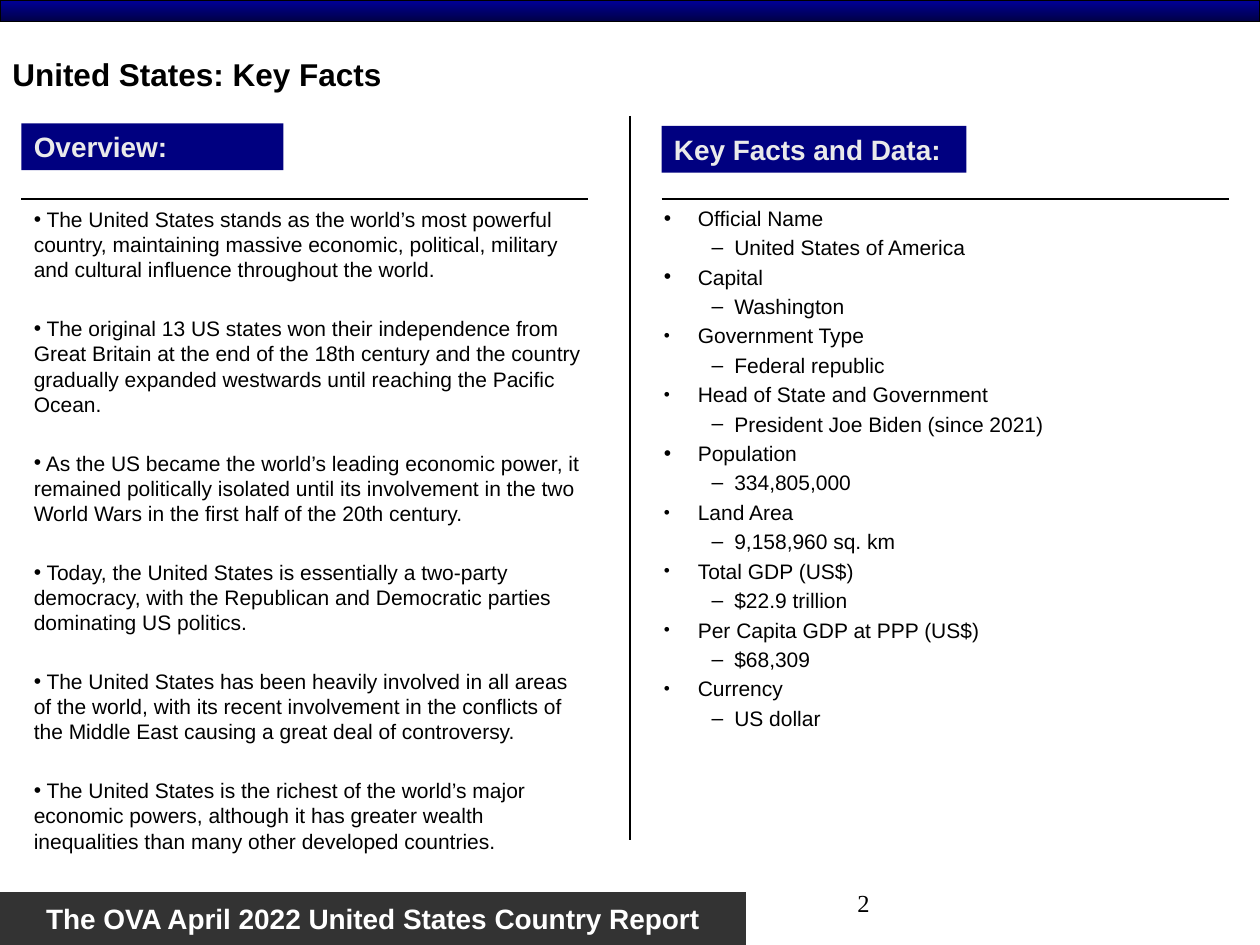
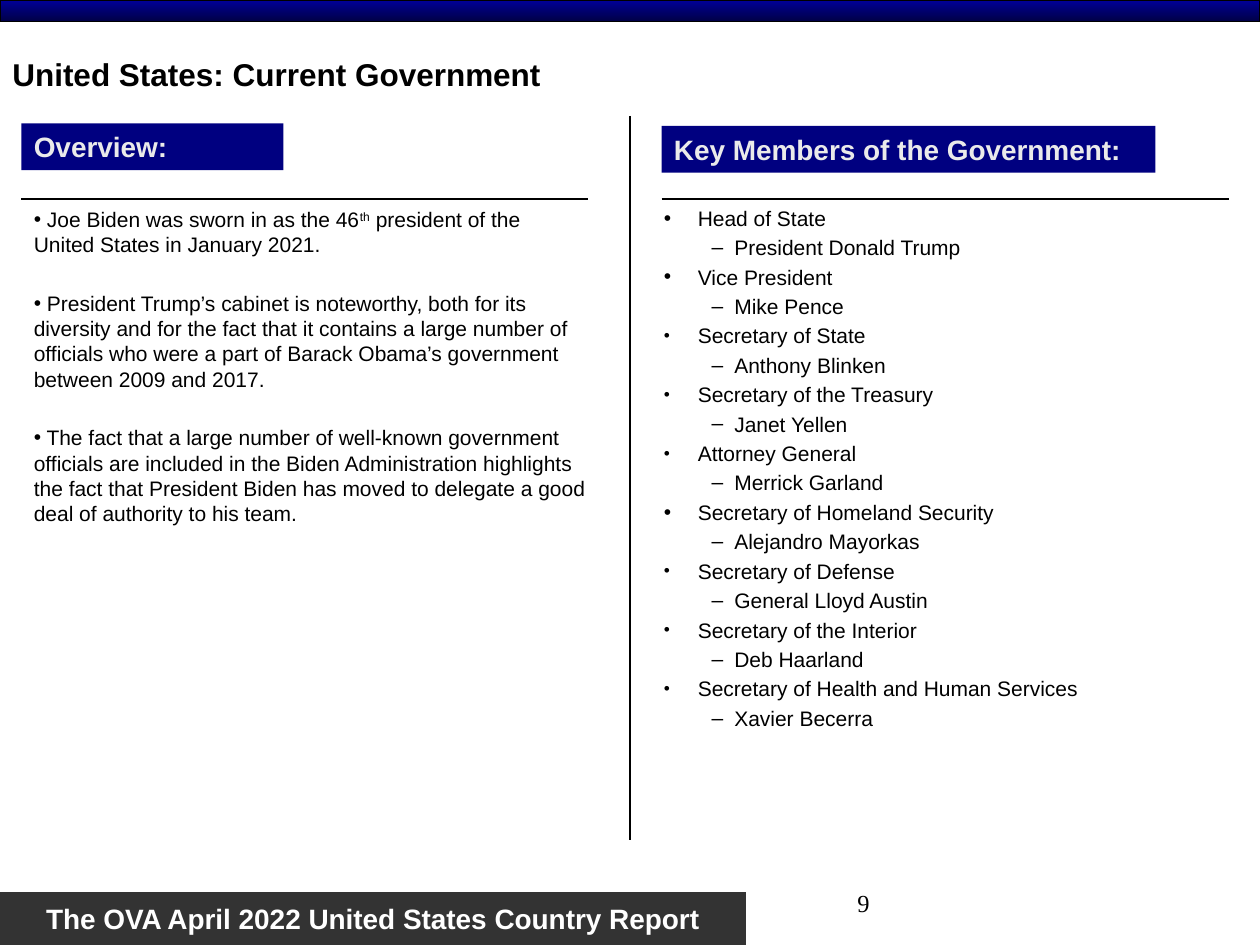
from dataclasses import dataclass

from lxml import etree
from pptx import Presentation
from pptx import util as u
from pptx.dml.color import RGBColor
from pptx.enum import shapes, text
from pptx.oxml import ns


@dataclass(frozen=True)
class Theme:
    black: str = "000000"
    white: str = "FFFFFF"
    band_top: str = "000099"
    band_bottom: str = "000047"
    footer: str = "333333"
    label: str = "000080"
    label_text: str = "EAEAEA"
    sans: str = "Arial"
    serif: str = "Times New Roman"
    title_size: float = 18
    label_size: float = 16
    page_size: float = 14
    body_size: float = 12
    line_pitch: float = 14.4
    gap: float = 2.4
    overview_gap: float = 19.2
    rule: float = 0.75


theme = Theme()
LEFT, MIDDLE = text.PP_ALIGN.LEFT, text.MSO_ANCHOR.MIDDLE

FOOTER = "The OVA April 2022 United States Country Report"

# A bar in an overview point encloses a superscript.
pages = [
    {
        "number": "2",
        "title": "United States: Key Facts",
        "overview_height": 5.41,
        "overview": [
            "The United States stands as the world’s most powerful country, maintaining massive economic, political, military and cultural influence throughout the world.",
            "The original 13 US states won their independence from Great Britain at the end of the 18th century and the country gradually expanded westwards until reaching the Pacific Ocean.",
            "As the US became the world’s leading economic power, it remained politically isolated until its involvement in the two World Wars in the first half of the 20th century.",
            "Today, the United States is essentially a two-party democracy, with the Republican and Democratic parties dominating US politics.",
            "The United States has been heavily involved in all areas of the world, with its recent involvement in the conflicts of the Middle East causing a great deal of controversy.",
            "The United States is the richest of the world’s major economic powers, although it has greater wealth inequalities than many other developed countries.",
        ],
        "label": "Key Facts and Data:",
        "label_width": 2.42,
        "large_bullets": {"Official Name", "Capital", "Population"},
        "facts": [
            ("Official Name", "United States of America"),
            ("Capital", "Washington"),
            ("Government Type", "Federal republic"),
            ("Head of State and Government", "President Joe Biden (since 2021)"),
            ("Population", "334,805,000"),
            ("Land Area", "9,158,960 sq. km"),
            ("Total GDP (US$)", "$22.9 trillion"),
            ("Per Capita GDP at PPP (US$)", "$68,309"),
            ("Currency", "US dollar"),
        ],
    },
    {
        "number": "9",
        "title": "United States: Current Government",
        "overview_height": 5.08,
        "overview": [
            "Joe Biden was sworn in as the 46|th| president of the United States in January 2021.",
            "President Trump’s cabinet is noteworthy, both for its diversity and for the fact that it contains a large number of officials who were a part of Barack Obama’s government between 2009 and 2017.",
            "The fact that a large number of well-known government officials are included in the Biden Administration highlights the fact that President Biden has moved to delegate a good deal of authority to his team.",
        ],
        "label": "Key Members of the Government:",
        "label_width": 3.92,
        "large_bullets": {"Head of State", "Vice President", "Secretary of Homeland Security"},
        "facts": [
            ("Head of State", "President Donald Trump"),
            ("Vice President", "Mike Pence"),
            ("Secretary of State", "Anthony Blinken"),
            ("Secretary of the Treasury", "Janet Yellen"),
            ("Attorney General", "Merrick Garland"),
            ("Secretary of Homeland Security", "Alejandro Mayorkas"),
            ("Secretary of Defense", "General Lloyd Austin"),
            ("Secretary of the Interior", "Deb Haarland"),
            ("Secretary of Health and Human Services", "Xavier Becerra"),
        ],
    },
]


def add_box(slide, box, words="", size=theme.body_size, color=theme.black, fill=None,
            bold=False, font=theme.sans, align=LEFT, anchor=MIDDLE, wrap=True):
    """Add a filled rectangle, or a text box when fill is None."""
    place = [u.Inches(length) for length in box]
    if fill is None:
        shape = slide.shapes.add_textbox(*place)
    else:
        shape = slide.shapes.add_shape(shapes.MSO_SHAPE.RECTANGLE, *place)
        shape.shadow.inherit = False
        shape.fill.solid()
        shape.fill.fore_color.rgb = RGBColor.from_string(fill)
        shape.line.fill.background()
    frame = shape.text_frame
    frame.word_wrap = wrap
    frame.vertical_anchor = anchor
    frame.text = words
    paragraph = frame.paragraphs[0]
    paragraph.alignment = align
    paragraph.font.name = font
    paragraph.font.size = u.Pt(size)
    paragraph.font.bold = bold
    paragraph.font.color.rgb = RGBColor.from_string(color)
    return shape


def add_bullet(frame, parts, mark, margin=0, hanging=0, gap=theme.gap, mark_percent=100):
    """Append a bulleted paragraph; every second part is superscript."""
    first = not frame.paragraphs[0].runs
    paragraph = frame.paragraphs[0] if first else frame.add_paragraph()
    paragraph.line_spacing = u.Pt(theme.line_pitch)
    paragraph.space_before = u.Pt(0 if first else gap)
    properties = paragraph._p.get_or_add_pPr()
    properties.set("marL", str(u.Inches(margin)))
    properties.set("indent", str(u.Inches(-hanging)))
    for old in properties.findall(ns.qn("a:defRPr")):
        properties.remove(old)
    for tag, name, value in (("a:buSzPct", "val", str(mark_percent * 1000)),
                             ("a:buFont", "typeface", theme.sans),
                             ("a:buChar", "char", mark)):
        etree.SubElement(properties, ns.qn(tag)).set(name, value)
    for index, part in enumerate(parts):
        run = paragraph.add_run()
        run.text = part
        run.font.name = theme.sans
        run.font.size = u.Pt(theme.body_size)
        run.font.color.rgb = RGBColor.from_string(theme.black)
        if index % 2:
            run.font._element.set("baseline", "30000")


presentation = Presentation()
presentation.slide_width = u.Inches(10)
presentation.slide_height = u.Inches(7.5)

for page in pages:
    slide = presentation.slides.add_slide(presentation.slide_layouts[6])

    # Top band, footer, page number and title
    band = add_box(slide, (0, 0, 10, 0.17), fill=theme.band_top)
    band.fill.gradient()
    band.fill.gradient_angle = 270
    for stop, color in zip(band.fill.gradient_stops, (theme.band_top, theme.band_bottom)):
        stop.color.rgb = RGBColor.from_string(color)
    band.line.color.rgb = RGBColor.from_string(theme.black)
    band.line.width = u.Pt(theme.rule)
    add_box(slide, (0, 7.08, 5.92, 0.42), FOOTER, theme.label_size, theme.white, theme.footer,
            bold=True, align=text.PP_ALIGN.CENTER, wrap=False)
    add_box(slide, (4.92, 7, 2.08, 0.5), page["number"], theme.page_size, font=theme.serif,
            align=text.PP_ALIGN.RIGHT, anchor=text.MSO_ANCHOR.TOP)
    add_box(slide, (0, 0.25, 5.67, 0.67), page["title"], theme.title_size, bold=True)

    # Column divider and the rules under the labels
    for left, top, right, bottom in ((5, 0.92, 5, 6.67), (0.17, 1.58, 4.67, 1.58),
                                     (5.25, 1.58, 9.75, 1.58)):
        rule = slide.shapes.add_connector(shapes.MSO_CONNECTOR.STRAIGHT, u.Inches(left),
                                          u.Inches(top), u.Inches(right), u.Inches(bottom))
        rule.line.color.rgb = RGBColor.from_string(theme.black)
        rule.line.width = u.Pt(theme.rule)
        etree.SubElement(rule._element.spPr, ns.qn("a:effectLst"))

    # Column labels
    for box, label in (((0.17, 0.98, 2.08, 0.37), "Overview:"),
                       ((5.25, 1, page["label_width"], 0.37), page["label"])):
        add_box(slide, box, label, theme.label_size, theme.label_text, theme.label, bold=True)

    # Column text
    overview = add_box(slide, (0.17, 1.59, 4.58, page["overview_height"]),
                       anchor=text.MSO_ANCHOR.TOP)
    for point in page["overview"]:
        add_bullet(overview.text_frame, f" {point}".split("|"), "•", gap=theme.overview_gap)

    facts = add_box(slide, (5.17, 1.58, 4.83, 5.16), anchor=text.MSO_ANCHOR.TOP)
    for heading, value in page["facts"]:
        percent = 100 if heading in page["large_bullets"] else 83
        add_bullet(facts.text_frame, [heading], "•", 0.27, 0.27, mark_percent=percent)
        add_bullet(facts.text_frame, [value], "–", 0.56, 0.18)

presentation.save("out.pptx")
